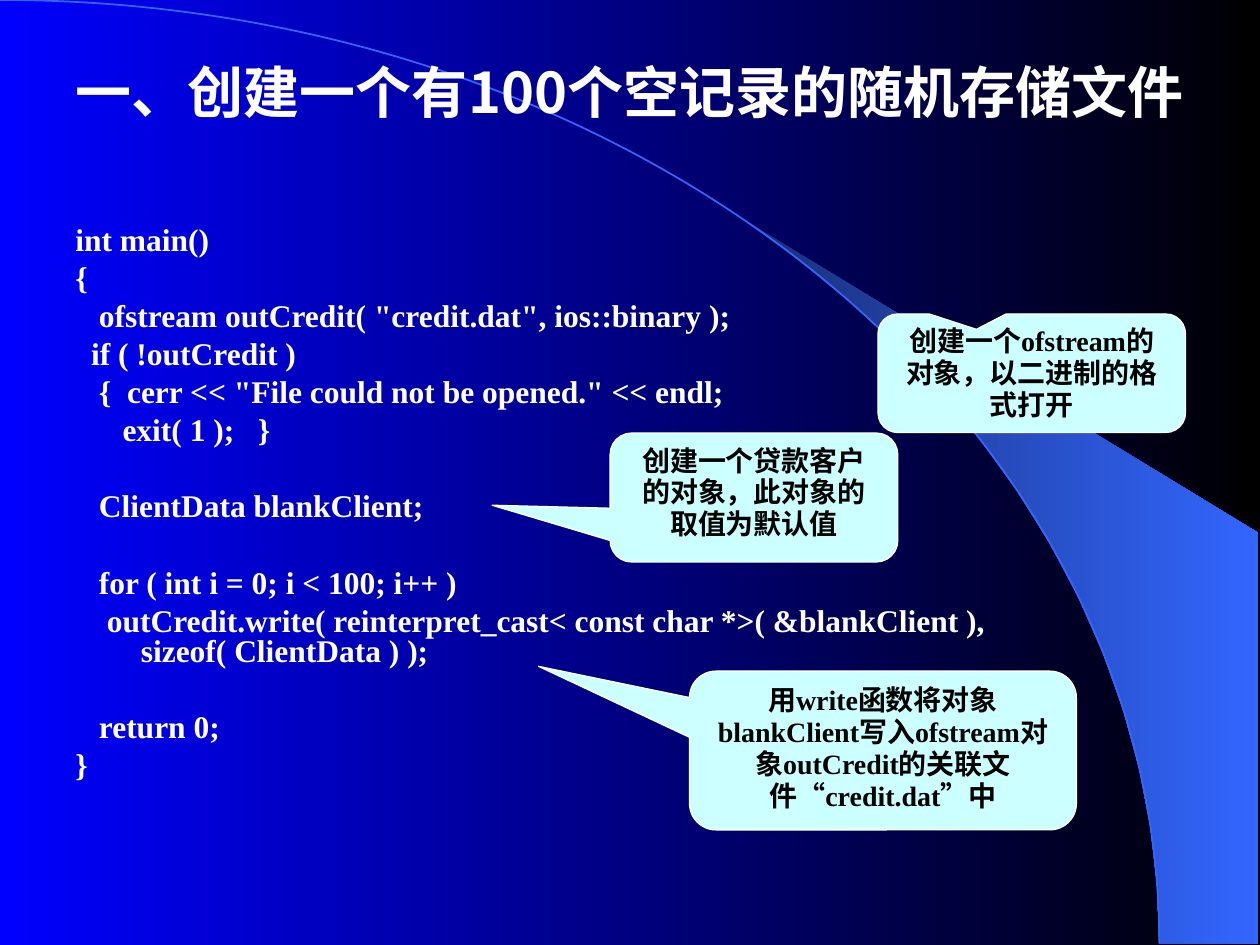
import math
from dataclasses import dataclass

import lxml.etree
import pptx
import pptx.dml.color
import pptx.enum.shapes
import pptx.enum.text
import pptx.oxml.ns
import pptx.util
from pptx.util import Cm, Pt


def rgb(code):
    return pptx.dml.color.RGBColor.from_string(code)


@dataclass(frozen=True)
class Theme:
    blue = rgb("0000FF")
    black = rgb("000000")
    white = rgb("FFFFFF")
    arc = rgb("3366FF")
    deep_arc = rgb("182F76")
    callout = rgb("CCFFFF")
    latin = "Times New Roman"
    chinese = "Noto Sans CJK SC"
    title_size = Pt(32)
    code_size = Pt(18)
    callout_size = Pt(16)


THEME = Theme()

TITLE = "一、创建一个有100个空记录的随机存储文件"

# Each block is set off from the one before by the height of one line.
CODE_BLOCKS = [
    [
        "int main()",
        "{",
        '   ofstream outCredit( "credit.dat", ios::binary );',
        "  if ( !outCredit )",
        '   {  cerr << "File could not be opened." << endl;',
        "      exit( 1 );   }",
    ],
    ["   ClientData blankClient;"],
    [
        "   for ( int i = 0; i < 100; i++ )",
        "    outCredit.write( reinterpret_cast< const char *>( &blankClient ),  sizeof( ClientData ) );",
    ],
    ["   return 0;", "}"],
]

# Box in cm, pointer tip relative to the box centre, (text, font) runs.
CALLOUTS = [
    ((17.7, 6.33, 6.2, 2.39), (-0.18, -0.37),
     [("创建一个ofstream的对象，以二进制的格式打开", None)]),
    ((12.3, 8.73, 5.8, 2.6), (-0.91, 0.06),
     [("创建一个贷款客户的对象，此对象的取值为默认值", None)]),
    ((13.9, 13.53, 7.8, 3.2), (-0.89, -0.53),
     [("用write函数将对象blankClient写入ofstream对象outCredit的关联文件", None),
      ("“", THEME.chinese), ("credit.dat", None), ("”", THEME.chinese), ("中", None)]),
]


def set_gradient(fill, start, end):
    """Fill from left to right."""
    fill.gradient()
    fill.gradient_angle = 0
    for stop, position, color in zip(fill.gradient_stops, (0, 1), (start, end)):
        stop.position = position
        stop.color.rgb = color


def set_font(paragraph, name, size, color):
    font = paragraph.font
    font.name, font.size, font.bold = name, size, True
    font.color.rgb = color


def add_text_box(slide, box):
    frame = slide.shapes.add_textbox(*map(Cm, box)).text_frame
    frame.word_wrap = True
    return frame


def add_outline(slide, points, close):
    start, *rest = [(Cm(x), Cm(y)) for x, y in points]
    builder = slide.shapes.build_freeform(*start)
    builder.add_line_segments(rest, close=close)
    outline = builder.convert_to_shape()
    outline.shadow.inherit = False
    return outline


def bend(outline):
    """Turn the three segments of an outline into one cubic curve."""
    qn = pptx.oxml.ns.qn
    segments = list(outline._element.iter(qn("a:lnTo")))
    track = segments[0].getparent()
    curve = lxml.etree.SubElement(track, qn("a:cubicBezTo"))
    for segment in segments:
        curve.append(segment[0])
        track.remove(segment)


def add_backdrop(slide, box, right_edge):
    """Draw a quarter ellipse across the box and a swoosh outside its lower part."""
    left, top, width, height = box
    right, bottom = left + width, top + height
    set_gradient(slide.background.fill, THEME.blue, THEME.black)

    first_degree, steps = 39.8, 14
    angles = [math.radians(first_degree + (90 - first_degree) * step / steps)
              for step in range(steps + 1)]
    inner_edge = [(left + width * math.sin(a), top + height * (1 - math.cos(a)))
                  for a in angles]
    corners = [(right_edge, bottom), (right_edge, top + 0.565 * height)]
    swoosh = add_outline(slide, inner_edge + corners, close=True)
    set_gradient(swoosh.fill, THEME.deep_arc, THEME.arc)
    swoosh.line.fill.background()

    handle = 4 / 3 * (math.sqrt(2) - 1)
    arc = add_outline(slide, [(left, top), (left + handle * width, top),
                              (right, bottom - handle * height), (right, bottom)],
                      close=False)
    bend(arc)
    arc.fill.background()
    arc.line.color.rgb = THEME.arc
    arc.line.width = Pt(1)


def add_title(slide, box):
    frame = add_text_box(slide, box)
    frame.vertical_anchor = pptx.enum.text.MSO_ANCHOR.MIDDLE
    heading = frame.paragraphs[0]
    heading.text = TITLE
    heading.alignment = pptx.enum.text.PP_ALIGN.CENTER
    set_font(heading, THEME.chinese, THEME.title_size, THEME.white)


def add_code(slide, box):
    frame = add_text_box(slide, box)
    hanging = Cm(1.32)
    for block_number, block in enumerate(CODE_BLOCKS):
        for line_number, code in enumerate(block):
            first = block_number == line_number == 0
            line = frame.paragraphs[0] if first else frame.add_paragraph()
            line.text = code
            line.line_spacing = 0.8
            if not first:
                line.space_before = Pt(4.5) if line_number else Pt(26.2)
            properties = line._p.get_or_add_pPr()
            properties.set("marL", str(hanging))
            properties.set("indent", str(-hanging))
            set_font(line, THEME.latin, THEME.code_size, THEME.white)


def add_callout(slide, box, tip, runs):
    callout = slide.shapes.add_shape(
        pptx.enum.shapes.MSO_SHAPE.ROUNDED_RECTANGULAR_CALLOUT, *map(Cm, box))
    callout.shadow.inherit = False
    callout.adjustments[0], callout.adjustments[1] = tip
    callout.fill.solid()
    callout.fill.fore_color.rgb = THEME.callout
    callout.line.color.rgb = THEME.white
    callout.line.width = Pt(0.75)

    frame = callout.text_frame
    frame.word_wrap = True
    frame.vertical_anchor = pptx.enum.text.MSO_ANCHOR.TOP
    remark = frame.paragraphs[0]
    remark.alignment = pptx.enum.text.PP_ALIGN.CENTER
    remark.line_spacing = 0.95
    set_font(remark, THEME.latin, THEME.callout_size, THEME.black)
    for text, font_name in runs:
        run = remark.add_run()
        run.text = text
        if font_name:
            run.font.name = font_name


def main():
    deck = pptx.Presentation()
    deck.slide_width, deck.slide_height = Cm(25.4), Cm(19.05)
    slide = deck.slides.add_slide(deck.slide_layouts[6])
    add_backdrop(slide, (0, 0, 23.37, 19.02), right_edge=25.37)
    add_code(slide, (1.27, 4.45, 23.24, 12.57))
    add_title(slide, (1.27, 0.76, 22.86, 2.16))
    for box, tip, runs in CALLOUTS:
        add_callout(slide, box, tip, runs)
    deck.save("out.pptx")


if __name__ == "__main__":
    main()
